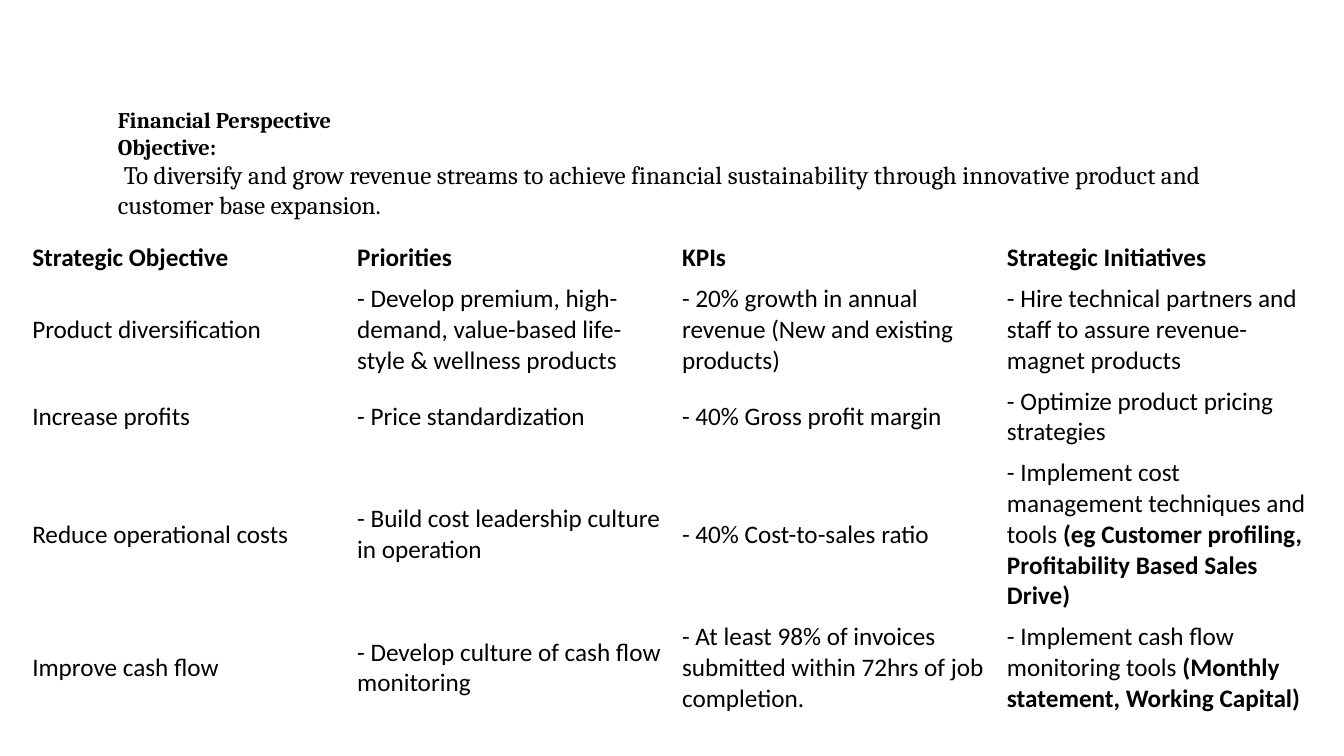
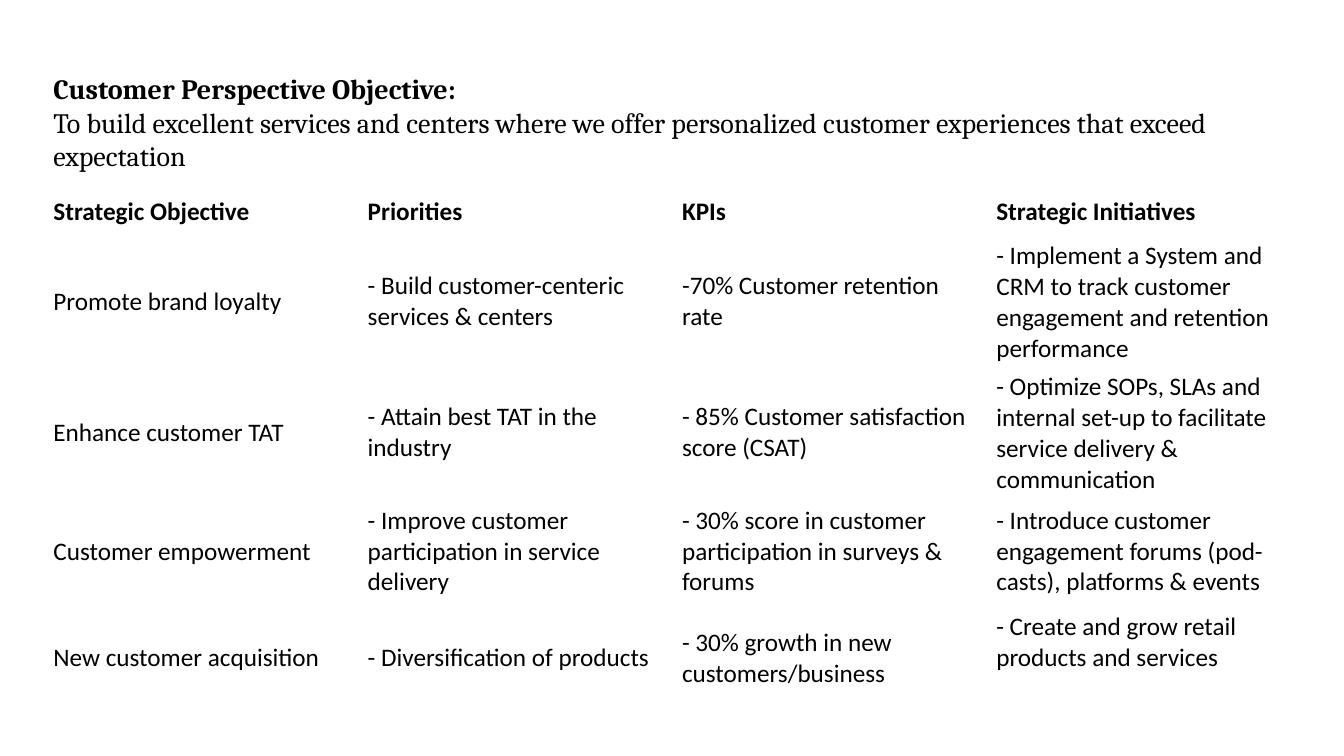
from dataclasses import dataclass

from pptx import Presentation
from pptx.dml.color import RGBColor
from pptx.enum import text
from pptx.util import Inches, Pt


@dataclass(frozen=True)
class Theme:
    ink: RGBColor = RGBColor(0, 0, 0)
    heading_font: str = "Cambria"
    table_font: str = "Calibri"
    table_size: int = 18


THEME = Theme()
HEADERS = ["Strategic Objective", "Priorities", "KPIs", "Strategic Initiatives"]

SLIDES = [
    {
        "heading_box": (1.07, 1, 11.38, 1.25),
        "heading": [
            ("Financial Perspective", 16, True, 0),
            ("Objective:", 16, True, 0),
            ("To diversify and grow revenue streams to achieve financial sustainability "
             "through innovative product and customer base expansion.", 18, False, 0.06),
        ],
        "table_at": (0.22, 2.36),
        "table_width": 12.89,
        "row_heights": [0.4, 1, 0.7, 1.6, 1],
        "rows": [
            ["Product diversification",
             "- Develop premium, high-demand, value-based life-style & wellness products",
             "- 20% growth in annual revenue (New and existing products)",
             "- Hire technical partners and staff to assure revenue-magnet products"],
            ["Increase profits",
             "- Price standardization",
             "- 40% Gross profit margin",
             "- Optimize product pricing strategies"],
            ["Reduce operational costs",
             "- Build cost leadership culture in operation",
             "- 40% Cost-to-sales ratio",
             ("- Implement cost management techniques and tools ",
              "(eg Customer profiling, Profitability Based Sales Drive)")],
            ["Improve cash flow",
             "- Develop culture of cash flow monitoring",
             "- At least 98% of invoices submitted within 72hrs of job completion.",
             ("- Implement cash flow monitoring tools ",
              "(Monthly statement, Working Capital)")],
        ],
        "last_cell_bottom": 0.05,
    },
    {
        "heading_box": (0.43, 0.66, 12.25, 1.11),
        "heading": [
            ("Customer Perspective Objective:", 20, True, 0),
            ("To build excellent services and centers where we offer personalized "
             "customer experiences that exceed expectation", 20, False, 0),
        ],
        "table_at": (0.43, 1.86),
        "table_width": 12.47,
        "row_heights": [0.48, 1.3, 1.3, 1.06, 1.06],
        "rows": [
            ["Promote brand loyalty",
             "- Build customer-centeric services & centers",
             "-70% Customer retention rate",
             "- Implement a System and CRM to track customer engagement and retention performance"],
            ["Enhance customer TAT",
             "- Attain best TAT in the industry",
             "- 85% Customer satisfaction score (CSAT)",
             "- Optimize SOPs, SLAs and internal set-up to facilitate service delivery & communication"],
            ["Customer empowerment",
             "- Improve customer participation in service delivery",
             "- 30% score in customer participation in surveys & forums",
             "- Introduce customer engagement forums (pod-casts), platforms & events"],
            ["New customer acquisition",
             "- Diversification of products",
             "- 30% growth in new customers/business",
             "- Create and grow retail products and services"],
        ],
        "last_cell_bottom": 0.36,
    },
]


def style_font(font, name, size, bold):
    font.name = name
    font.size = Pt(size)
    font.bold = bold
    font.color.rgb = THEME.ink


def add_heading(page, bounds, lines):
    box = page.shapes.add_textbox(*map(Inches, bounds))
    frame = box.text_frame
    frame.word_wrap = True
    for index, (words, size, bold, indent) in enumerate(lines):
        para = frame.add_paragraph() if index else frame.paragraphs[0]
        para.text = words
        if indent:
            para._p.get_or_add_pPr().set("indent", str(Inches(indent)))
        style_font(para.font, THEME.heading_font, size, bold)


def fill_cell(cell, content, bold):
    cell.fill.background()
    cell.vertical_anchor = text.MSO_ANCHOR.MIDDLE
    para = cell.text_frame.paragraphs[0]
    style_font(para.font, THEME.table_font, THEME.table_size, bold)
    parts = (content,) if isinstance(content, str) else content
    for index, words in enumerate(parts):
        span = para.add_run()
        span.text = words
        style_font(span.font, THEME.table_font, THEME.table_size, bold or index > 0)


def add_objectives_table(page, content):
    rows = [HEADERS] + content["rows"]
    heights = content["row_heights"]
    left, top = content["table_at"]
    width = content["table_width"]
    table = page.shapes.add_table(
        len(rows), len(HEADERS), Inches(left), Inches(top),
        Inches(width), Inches(sum(heights))).table
    table.first_row = False
    table.horz_banding = False
    for column in table.columns:
        column.width = Inches(width / len(HEADERS))
    for row_index, (values, height) in enumerate(zip(rows, heights)):
        table.rows[row_index].height = Inches(height)
        for column_index, value in enumerate(values):
            fill_cell(table.cell(row_index, column_index), value, row_index == 0)
    last_cell = table.cell(len(rows) - 1, len(HEADERS) - 1)
    last_cell.margin_bottom = Inches(content["last_cell_bottom"])


def main():
    deck = Presentation()
    deck.slide_width = Inches(13.33)
    deck.slide_height = Inches(7.5)
    for content in SLIDES:
        page = deck.slides.add_slide(deck.slide_layouts[6])
        add_objectives_table(page, content)
        add_heading(page, content["heading_box"], content["heading"])
    deck.save("out.pptx")


if __name__ == "__main__":
    main()
